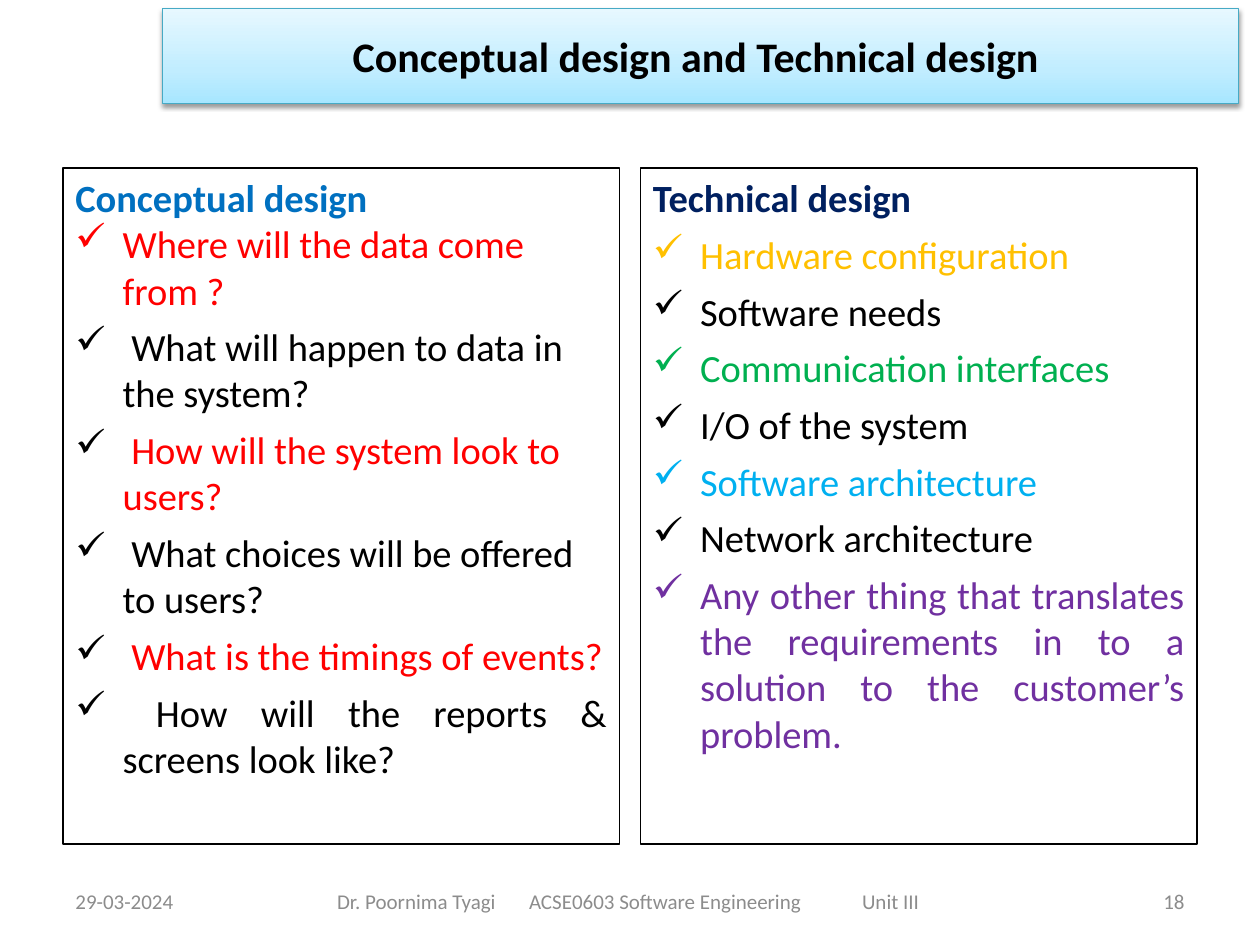
import pptx
import pptx.util
import pptx.dml.color
import pptx.enum.shapes
import pptx.enum.text
import pptx.oxml.ns
from lxml import etree

Pt = pptx.util.Pt
RGBColor = pptx.dml.color.RGBColor
PP_ALIGN = pptx.enum.text.PP_ALIGN
MSO_ANCHOR = pptx.enum.text.MSO_ANCHOR
RECT = pptx.enum.shapes.MSO_SHAPE.RECTANGLE
qn = pptx.oxml.ns.qn

BLACK = RGBColor(0x00, 0x00, 0x00)
GREY = RGBColor(0x8C, 0x8C, 0x8C)
RED = RGBColor(0xFF, 0x00, 0x00)
BLUE = RGBColor(0x00, 0x70, 0xC0)
NAVY = RGBColor(0x00, 0x20, 0x60)
GOLD = RGBColor(0xFF, 0xC0, 0x00)
GREEN = RGBColor(0x00, 0xB0, 0x50)
SKY = RGBColor(0x00, 0xB0, 0xF0)
PURPLE = RGBColor(0x70, 0x30, 0xA0)
TEAL = RGBColor(0x46, 0xAA, 0xC5)
BANNER_STOPS = [(0, RGBColor(0xA7, 0xE6, 0xFF)),
                (35, RGBColor(0xC1, 0xED, 0xFF)),
                (100, RGBColor(0xE7, 0xF8, 0xFF))]


def add_run(p, text, size, color, bold=False):
    r = p.add_run()
    r.text = text
    for name, value in {"name": "Calibri", "size": Pt(size), "bold": bold}.items():
        setattr(r.font, name, value)
    r.font.color.rgb = color


def add_child(parent, tag, **attrs):
    return etree.SubElement(parent, qn(tag), {k: str(v) for k, v in attrs.items()})


prs = pptx.Presentation()
prs.slide_width, prs.slide_height = Pt(720), Pt(540)
s = prs.slides.add_slide(prs.slide_layouts[6])

# Title banner with gradient and soft shadow
sp = s.shapes.add_shape(RECT, Pt(92.9), Pt(5), Pt(615), Pt(54))
sp.fill.gradient()
sp.fill.gradient_angle = 90
stops = sp._element.spPr.find(".//" + qn("a:gsLst"))
stops.clear()
for pos, color in BANNER_STOPS:
    gs = add_child(stops, "a:gs", pos=pos * 1000)
    add_child(gs, "a:srgbClr", val=color)
sp.line.color.rgb = TEAL
sp.line.width = Pt(0.75)
sp.shadow.inherit = False
shadow = add_child(sp._element.spPr.find(qn("a:effectLst")), "a:outerShdw",
                   blurRad=Pt(3.1), dist=Pt(1.6), dir=90 * 60000, rotWithShape=0)
add_child(add_child(shadow, "a:srgbClr", val=BLACK), "a:alpha", val=38000)
tf = sp.text_frame
tf.margin_right = Pt(12.6)
tf.vertical_anchor = MSO_ANCHOR.MIDDLE
p = tf.paragraphs[0]
p.alignment = PP_ALIGN.CENTER
add_run(p, "Conceptual design and Technical design", 24, BLACK, True)

# Footer: date, course line with tab stops, slide number
footers = [
    (36, 168, 7.2, PP_ALIGN.LEFT, [], "29-03-2024"),
    (180, 372, 12.6, PP_ALIGN.LEFT, [109.7, 300],
     "Dr. Poornima Tyagi\tACSE0603 Software Engineering\tUnit III"),
    (516, 168, 7.2, PP_ALIGN.RIGHT, [], "18"),
]
for left, width, inset, align, tabs, text in footers:
    tf = s.shapes.add_textbox(Pt(left), Pt(500.5), Pt(width), Pt(28.75)).text_frame
    for name, value in {"word_wrap": True, "margin_left": Pt(inset),
                        "vertical_anchor": MSO_ANCHOR.MIDDLE}.items():
        setattr(tf, name, value)
    p = tf.paragraphs[0]
    p.alignment = align
    if tabs:
        tab_list = add_child(p._p.get_or_add_pPr(), "a:tabLst")
        for tab in tabs:
            add_child(tab_list, "a:tab", pos=Pt(tab), algn="l")
    add_run(p, text, 12, GREY)

# Two bordered columns: heading, then check-marked items
LEFT, JUSTIFY = PP_ALIGN.LEFT, PP_ALIGN.JUSTIFY
columns = [
    (36, "Conceptual design", BLUE, 0, [
        ("Where will the data come from ?", RED, LEFT),
        (" What will happen to data in the system?", BLACK, LEFT),
        (" How will the system look to users?", RED, LEFT),
        (" What choices will be offered to users?", BLACK, LEFT),
        (" What is the timings of events?", RED, LEFT),
        (" How will the reports & screens look like?", BLACK, JUSTIFY),
    ]),
    (366, "Technical design", NAVY, 6, [
        ("Hardware configuration", GOLD, JUSTIFY),
        ("Software needs", BLACK, JUSTIFY),
        ("Communication interfaces", GREEN, JUSTIFY),
        ("I/O of the system", BLACK, JUSTIFY),
        ("Software architecture", SKY, JUSTIFY),
        ("Network architecture", BLACK, JUSTIFY),
        ("Any other thing that translates the requirements in to a solution "
         "to the customer’s problem.", PURPLE, JUSTIFY),
    ]),
]
for left, heading, heading_color, gap, items in columns:
    sp = s.shapes.add_shape(RECT, Pt(left), Pt(96), Pt(318), Pt(386.5))
    sp.fill.background()
    sp.line.color.rgb = BLACK
    sp.line.width = Pt(1)
    sp.shadow.inherit = False
    tf = sp.text_frame
    tf.word_wrap = True
    tf.vertical_anchor = MSO_ANCHOR.TOP
    p = tf.paragraphs[0]
    p.alignment = LEFT
    p.space_after = Pt(gap)
    add_run(p, heading, 22, heading_color, True)
    for text, color, align in items:
        p = tf.add_paragraph()
        p.alignment = align
        p.space_after = Pt(6)
        pPr = p._p.get_or_add_pPr()
        pPr.set("marL", str(Pt(27)))
        pPr.set("indent", str(-Pt(27)))
        add_child(pPr, "a:buChar", char="✓")
        # A leading black space keeps the check mark black
        if text.startswith(" "):
            add_run(p, " ", 22, BLACK)
        add_run(p, text.lstrip(), 22, color)

prs.save("out.pptx")
